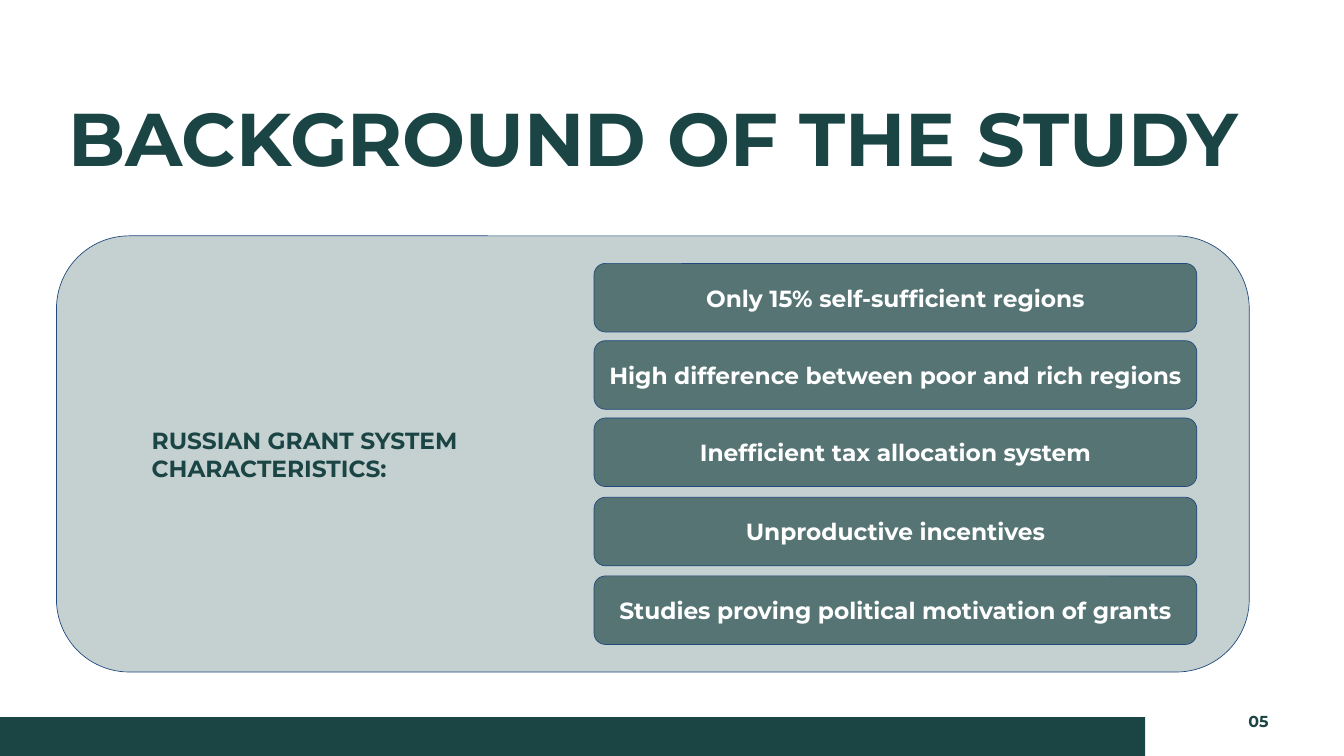
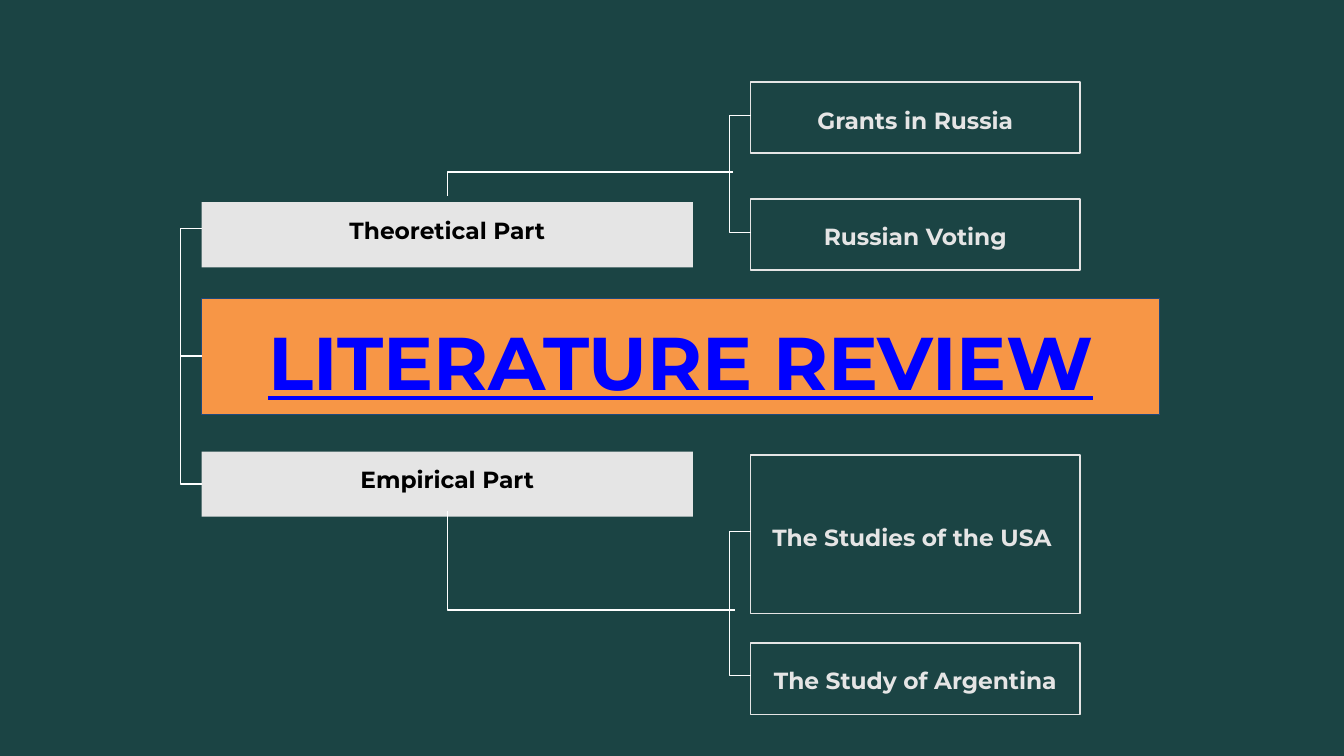
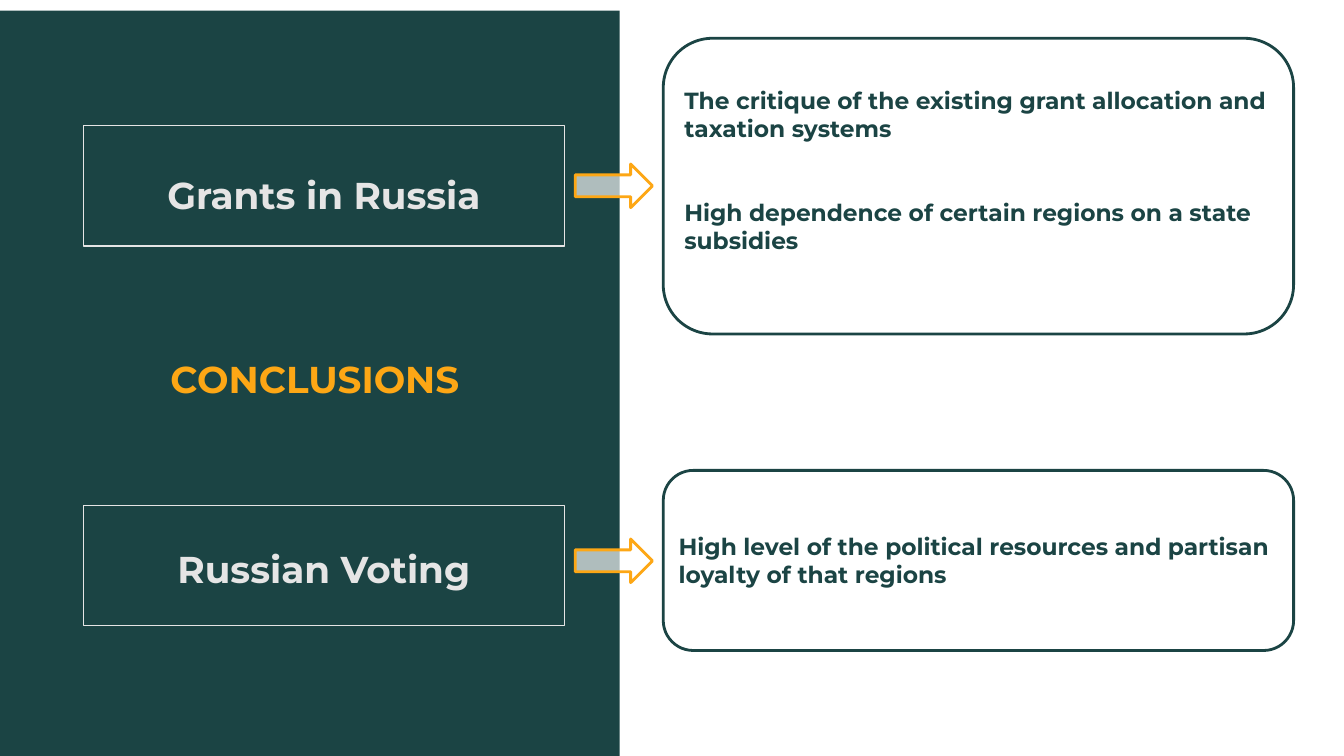
from itertools import pairwise

from lxml import etree
from pptx import Presentation, util as u
from pptx.dml.color import RGBColor
from pptx.enum import shapes, text
from pptx.oxml.ns import qn

FONT = "Montserrat"
GREEN, WHITE, BLACK = "1B4444", "FFFFFF", "000000"
GREY, ORANGE, AMBER = "E5E5E5", "F79646", "FDA715"
NAVY, LINK = "1F497D", "0000FF"
RECT = shapes.MSO_SHAPE.RECTANGLE
ROUND = shapes.MSO_SHAPE.ROUNDED_RECTANGLE
ARROW = shapes.MSO_SHAPE.RIGHT_ARROW
ALIGN = {"l": text.PP_ALIGN.LEFT, "c": text.PP_ALIGN.CENTER, "r": text.PP_ALIGN.RIGHT}
HAIR = u.Emu(600)
REACH = u.Inches(0.26)


def rgb(value):
    """Turn a hex string into a colour."""
    return RGBColor.from_string(value)


def inches(*values):
    """Convert several numbers to lengths."""
    return [u.Inches(v) for v in values]


def new_slide(prs, color):
    """Add a blank slide with a plain background."""
    s = prs.slides.add_slide(prs.slide_layouts[6])
    s.background.fill.solid()
    s.background.fill.fore_color.rgb = rgb(color)
    return s


def write(sp, content, size=25, color=GREEN, align="c", spacing=None, gap=0,
          insets=(0.1, 0.1, 0.1, 0.1), middle=True, underline=None):
    """Fill a shape with formatted text, one paragraph a line."""
    tf = sp.text_frame
    tf.word_wrap = True
    tf.vertical_anchor = text.MSO_ANCHOR.MIDDLE if middle else text.MSO_ANCHOR.TOP
    tf.margin_left, tf.margin_top, tf.margin_right, tf.margin_bottom = inches(*insets)
    for i, line in enumerate(content.split("\n")):
        p = tf.add_paragraph() if i else tf.paragraphs[0]
        p.alignment = ALIGN[align]
        if spacing:
            p.line_spacing = spacing
        if i and gap:
            p.space_before = u.Pt(gap)
        r = p.add_run()
        r.text = line
        r.font.name, r.font.size, r.font.bold = FONT, u.Pt(size), True
        r.font.underline = underline
        r.font.color.rgb = rgb(color)


def add_text(s, x, y, w, h, content, **fmt):
    """Add a text box."""
    write(s.shapes.add_textbox(*inches(x, y, w, h)), content, **fmt)


def add_shape(s, kind, x, y, w, h, fill=None, alpha=None, line=None, weight=0.75):
    """Add a preset shape with optional fill, opacity and outline."""
    sp = s.shapes.add_shape(kind, *inches(x, y, w, h))
    sp.shadow.inherit = False
    if fill:
        sp.fill.solid()
        sp.fill.fore_color.rgb = rgb(fill)
        if alpha:
            clr = sp.fill._xPr.find(".//" + qn("a:srgbClr"))
            etree.SubElement(clr, qn("a:alpha")).set("val", str(alpha * 1000))
    else:
        sp.fill.background()
    if line:
        sp.line.color.rgb = rgb(line)
        sp.line.width = u.Pt(weight)
    else:
        sp.line.fill.background()
    return sp


def add_elbow(s, x1, y1, x2, y2):
    """Add a thin white elbow connector and return its geometry."""
    c = s.shapes.add_connector(shapes.MSO_CONNECTOR.ELBOW, x1, y1, x2, y2)
    c.line.color.rgb = rgb(WHITE)
    c.line.width = u.Pt(1.5)
    etree.SubElement(c._element.spPr, qn("a:effectLst"))
    return c._element.spPr.find(qn("a:prstGeom"))


def add_bracket(s, x, *levels):
    """Link the left sides of boxes at the given heights."""
    left = u.Inches(x)
    for top, bottom in pairwise(inches(*levels)):
        geom = add_elbow(s, left, top, left + HAIR, bottom)
        guides = geom.find(qn("a:avLst"))
        if guides is None:
            guides = etree.SubElement(geom, qn("a:avLst"))
        bend = -round(REACH / HAIR * 100000)
        etree.SubElement(guides, qn("a:gd"), name="adj1", fmla=f"val {bend}")


def add_corner(s, x1, y1, x2, y2):
    """Run a connector sideways and then up or down."""
    add_elbow(s, *inches(x1, y1, x2, y2)).set("prst", "bentConnector2")


def add_part(s, y, label):
    """Add a grey heading bar of the review tree."""
    add_shape(s, RECT, 3, y, 7.31, 0.97, fill=GREY)
    add_text(s, 3, y - 0.09, 7.31, 0.97, label, color=BLACK, spacing=1.1,
             insets=(0.28,) * 4)


def add_frame(s, x, y, w, h, label, text_y, text_h, size=25):
    """Add an outlined box with a slightly raised label."""
    add_shape(s, RECT, x, y, w, h, line=GREY, weight=1.5)
    add_text(s, x, text_y, w, text_h, label, size=size, color=GREY, spacing=1.4,
             insets=(0.28,) * 4)


def background_slide(prs):
    """Build the background of the study."""
    s = new_slide(prs, WHITE)
    add_shape(s, RECT, 0, 10.67, 17.04, 0.58, fill=GREEN)
    add_text(s, 18.28, 10.51, 0.6, 0.29, "05", size=17, align="r", spacing=1.3,
             insets=(0,) * 4, middle=False)
    add_text(s, 0.86, 1.23, 17.73, 1.35, "BACKGROUND OF THE STUDY", size=80,
             spacing=1.1, insets=(0,) * 4, middle=False)
    panel = add_shape(s, ROUND, 0.84, 3.51, 17.75, 6.49, fill=GREEN, alpha=25, line=NAVY)
    write(panel, "RUSSIAN GRANT SYSTEM\nCHARACTERISTICS:", align="l",
          insets=(1.1, 0.1, 0.1, 0.1))
    traits = [(3.92, "Only 15% self-sufficient regions"),
              (5.07, "High difference between poor and rich regions"),
              (6.22, "Inefficient tax allocation system"),
              (7.4, "Unproductive incentives"),
              (8.57, "Studies proving political motivation of grants")]
    for y, trait in traits:
        bar = add_shape(s, ROUND, 8.84, y, 8.97, 1.02, fill=GREEN, alpha=65, line=NAVY)
        write(bar, trait, color=WHITE)


def review_slide(prs):
    """Build the literature review tree."""
    s = new_slide(prs, GREEN)
    add_part(s, 3.01, "Theoretical Part")
    title = add_shape(s, RECT, 3, 4.44, 14.26, 1.73, fill=ORANGE, line=NAVY)
    write(title, "LITERATURE REVIEW", size=80, color=LINK, spacing=1.1, underline=True)
    add_part(s, 6.72, "Empirical Part")
    topics = [(1.22, 1.06, "Grants in Russia", 1.14, 1.13),
              (2.96, 1.06, "Russian Voting", 2.87, 1.13),
              (6.77, 2.36, "The Studies of the USA ", 6.73, 2.36),
              (9.57, 1.06, "The Study of Argentina", 9.48, 1.13)]
    for y, h, label, text_y, text_h in topics:
        add_frame(s, 11.17, y, 4.9, h, label, text_y, text_h)
    add_bracket(s, 3, 3.4, 5.3, 7.2)
    add_bracket(s, 11.17, 1.72, 3.46)
    add_bracket(s, 11.17, 7.91, 10.05)
    add_corner(s, 10.91, 2.56, 6.66, 2.92)
    add_corner(s, 10.94, 9.08, 6.66, 7.6)


def conclusions_slide(prs):
    """Build the conclusions with their arrows."""
    s = new_slide(prs, WHITE)
    add_shape(s, RECT, 0, 0.16, 9.22, 11.09, fill=GREEN)
    add_text(s, 0.32, 5.24, 8.73, 0.67, "CONCLUSIONS", size=40, color=AMBER,
             spacing=1.1, insets=(0,) * 4, middle=False)
    add_frame(s, 1.24, 1.87, 7.16, 1.79, "Grants in Russia", 1.81, 1.9, size=40)
    add_frame(s, 1.24, 7.52, 7.16, 1.79, "Russian Voting", 7.38, 1.9, size=40)
    findings = [(0.57, 4.4, 0.57, "The critique of the existing grant allocation and "
                 "taxation systems\nHigh dependence of certain regions on a state subsidies"),
                (7, 2.68, 0.1, "High level of the political resources and partisan "
                 "loyalty of that regions")]
    for y, h, bottom, finding in findings:
        card = add_shape(s, ROUND, 9.87, y, 9.38, h, line=GREEN, weight=3)
        write(card, finding, align="l", gap=60, insets=(0.1, 0.1, 0.1, bottom))
    for y in (2.44, 8.02):
        add_shape(s, ARROW, 8.56, y, 1.15, 0.65, fill=WHITE, alpha=65, line=AMBER, weight=3)


def main():
    """Build and save the presentation."""
    prs = Presentation()
    prs.slide_width, prs.slide_height = inches(20, 11.25)
    background_slide(prs)
    review_slide(prs)
    conclusions_slide(prs)
    prs.save("out.pptx")


if __name__ == "__main__":
    main()
